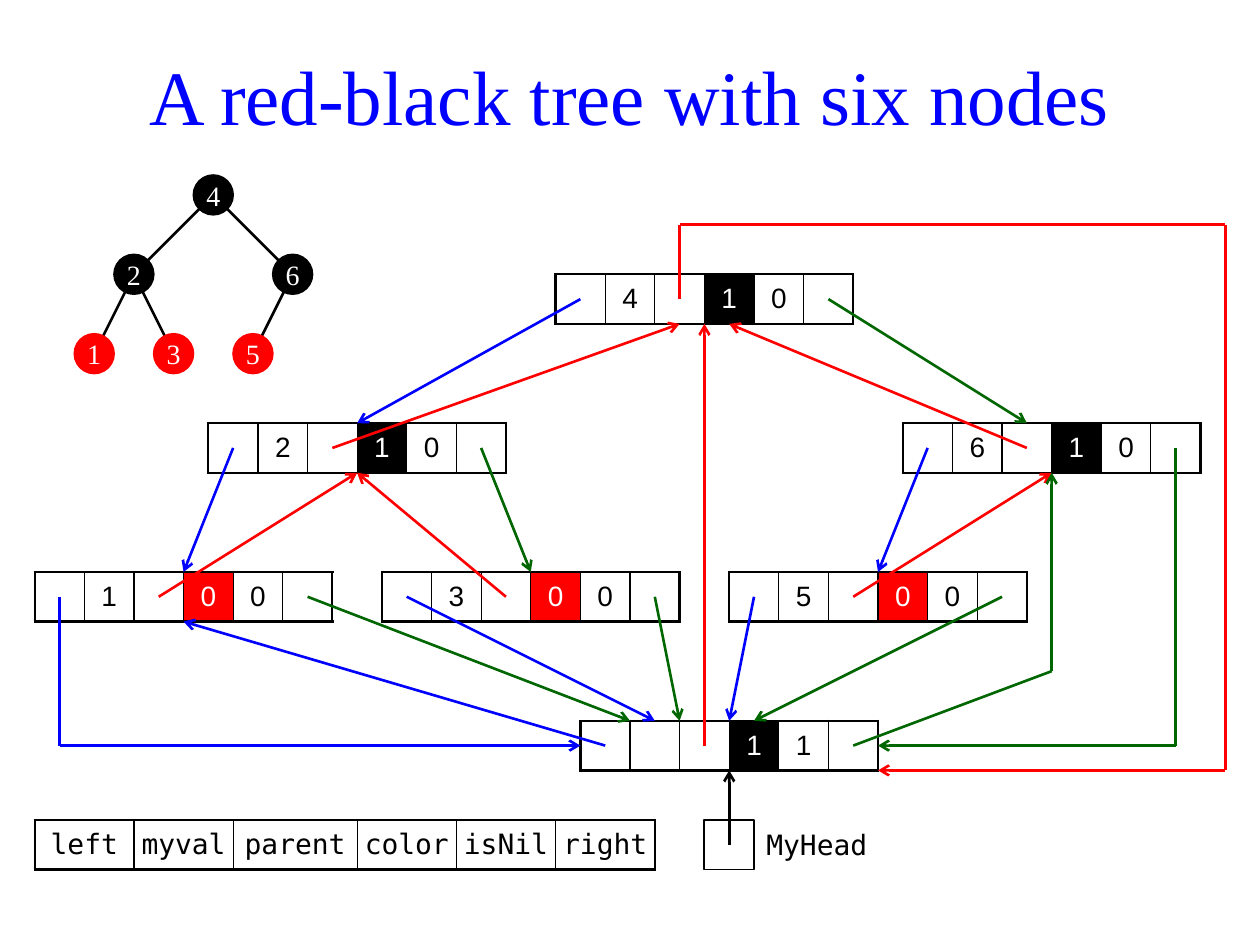
from itertools import pairwise

from lxml.etree import SubElement
from pptx import Presentation
from pptx.dml.color import RGBColor
from pptx.enum.shapes import MSO_CONNECTOR as Connector
from pptx.enum.shapes import MSO_SHAPE as Preset
from pptx.enum.text import MSO_ANCHOR as Anchor
from pptx.enum.text import PP_ALIGN as Align
from pptx.oxml.ns import qn
from pptx.util import Cm, Pt

BLACK = RGBColor(0x00, 0x00, 0x00)
WHITE = RGBColor(0xFF, 0xFF, 0xFF)
RED = RGBColor(0xFF, 0x00, 0x00)
BLUE = RGBColor(0x00, 0x00, 0xFF)
GREEN = RGBColor(0x00, 0x66, 0x00)

SERIF, SANS, MONO = "Times New Roman", "Arial", "DejaVu Sans Mono"

TOP, MIDDLE, BOTTOM = 0, 0.5, 1
LEFT, PARENT, RIGHT = 0.5, 2.5, 5.5

ROW_TOPS = [5.53 + 3 * level for level in range(4)]
LEGEND_TOP = 16.53
RECORDS = {
    "4": (11.2, ROW_TOPS[0], ["", "4", "", "1", "0", ""], BLACK),
    "2": (4.2, ROW_TOPS[1], ["", "2", "", "1", "0", ""], BLACK),
    "6": (18.2, ROW_TOPS[1], ["", "6", "", "1", "0", ""], BLACK),
    "1": (0.7, ROW_TOPS[2], ["", "1", "", "0", "0", ""], RED),
    "3": (7.7, ROW_TOPS[2], ["", "3", "", "0", "0", ""], RED),
    "5": (14.7, ROW_TOPS[2], ["", "5", "", "0", "0", ""], RED),
    "head": (11.7, ROW_TOPS[3], ["", "", "", "1", "1", ""], BLACK),
}
TREE_NODES = {
    "4": (4.3, 3.93, BLACK),
    "2": (2.7, 5.53, BLACK),
    "6": (5.9, 5.53, BLACK),
    "1": (1.9, 7.13, RED),
    "3": (3.5, 7.13, RED),
    "5": (5.1, 7.13, RED),
}
TREE_EDGES = ["42", "46", "21", "23", "65"]
FIELDS = ["left", "myval", "parent", "color", "isNil", "right"]
FIELD_WIDTHS = [2, 2, 2.5, 2, 2, 2]


def spot(record, offset, side=MIDDLE):
    left, top = RECORDS[record][:2]
    return left + offset, top + side


LINKS = [
    (BLUE, [spot("4", LEFT), spot("2", 3, TOP)]),
    (GREEN, [spot("4", RIGHT), spot("6", 2.5, TOP)]),
    (RED, [spot("4", PARENT), (13.7, 4.53), (24.7, 4.53), (24.7, 15.53), spot("head", 6, BOTTOM)]),
    (BLUE, [spot("2", LEFT), spot("1", 3, TOP)]),
    (RED, [spot("2", PARENT), spot("4", 2.5, BOTTOM)]),
    (GREEN, [spot("2", RIGHT), spot("3", 3, TOP)]),
    (BLUE, [spot("6", LEFT), spot("5", 3, TOP)]),
    (RED, [spot("6", PARENT), spot("4", 3.5, BOTTOM)]),
    (GREEN, [spot("6", RIGHT), (23.7, 15.03), spot("head", 6)]),
    (BLUE, [spot("1", LEFT), (1.2, 15.03), spot("head", 0)]),
    (RED, [spot("1", PARENT), spot("2", 3, BOTTOM)]),
    (GREEN, [spot("1", RIGHT), spot("head", 1, TOP)]),
    (BLUE, [spot("3", LEFT), spot("head", 1.5, TOP)]),
    (RED, [spot("3", PARENT), spot("2", 3, BOTTOM)]),
    (GREEN, [spot("3", RIGHT), spot("head", 2, TOP)]),
    (BLUE, [spot("5", LEFT), spot("head", 3, TOP)]),
    (RED, [spot("5", PARENT), spot("6", 3, BOTTOM)]),
    (GREEN, [spot("5", RIGHT), spot("head", 3.5, TOP)]),
    (BLUE, [spot("head", LEFT), spot("1", 3, BOTTOM)]),
    (RED, [spot("head", PARENT), spot("4", 3, BOTTOM)]),
    (GREEN, [spot("head", RIGHT), (21.2, 13.53), spot("6", 3, BOTTOM)]),
    (BLACK, [(14.7, LEGEND_TOP + 0.5), spot("head", 3, BOTTOM)]),
]


class Canvas:
    thin, thick, text_size = Pt(0.75), Pt(1.5), Pt(16)

    def __init__(self, slide):
        self.slide = slide

    def add_text(self, frame, text, font, color, size=None, align=Align.CENTER):
        paragraph = frame.paragraphs[0]
        paragraph.alignment = align
        run = paragraph.add_run()
        run.text = text
        run.font.name = font
        run.font.size = size or self.text_size
        run.font.color.rgb = color
        return paragraph

    def label(self, left, top, width, height, text, font, color, **style):
        box = self.slide.shapes.add_textbox(Cm(left), Cm(top), Cm(width), Cm(height))
        frame = box.text_frame
        frame.word_wrap = True
        frame.vertical_anchor = Anchor.MIDDLE
        return self.add_text(frame, text, font, color, **style)

    def shape(self, preset, left, top, size, fill, line):
        shape = self.slide.shapes.add_shape(preset, Cm(left), Cm(top), Cm(size), Cm(size))
        shape.shadow.inherit = False
        shape.fill.solid()
        shape.fill.fore_color.rgb = fill
        shape.line.color.rgb = line
        shape.line.width = Pt(1)
        return shape

    def tree_node(self, x, y, text, color):
        frame = self.shape(Preset.OVAL, x - 0.4, y - 0.4, 0.8, color, color).text_frame
        frame.margin_left = frame.margin_right = frame.margin_top = frame.margin_bottom = 0
        frame.vertical_anchor = Anchor.MIDDLE
        self.add_text(frame, text, SERIF, WHITE)

    def line(self, start, end, color, arrow=False):
        ends = [Cm(value) for value in (*start, *end)]
        connector = self.slide.shapes.add_connector(Connector.STRAIGHT, *ends)
        connector.line.color.rgb = color
        connector.line.width = self.thick
        properties = connector._element.spPr
        if arrow:
            SubElement(properties.find(qn("a:ln")), qn("a:tailEnd"), type="arrow")
        SubElement(properties, qn("a:effectLst"))

    def link(self, points, color):
        for start, end in pairwise(points):
            self.line(start, end, color, arrow=end == points[-1])

    def border(self, cell, side, width):
        properties = cell._tc.get_or_add_tcPr()
        line = SubElement(properties, qn(f"a:ln{side}"), w=str(width))
        fill = SubElement(line, qn("a:solidFill"))
        SubElement(fill, qn("a:srgbClr"), val=str(BLACK))

    def record(self, left, top, texts, widths, font, marker=None):
        frame = self.slide.shapes.add_table(
            1, len(texts), Cm(left), Cm(top), Cm(sum(widths)), Cm(1))
        table = frame.table
        table.first_row = table.horz_banding = False
        table.rows[0].height = Cm(1)
        last = len(texts) - 1
        for index, (text, width) in enumerate(zip(texts, widths)):
            table.columns[index].width = Cm(width)
            cell = table.cell(0, index)
            cell.margin_left = cell.margin_right = cell.margin_top = cell.margin_bottom = 0
            cell.vertical_anchor = Anchor.MIDDLE
            self.border(cell, "L", self.thick if index == 0 else self.thin)
            self.border(cell, "R", self.thick if index == last else self.thin)
            self.border(cell, "T", self.thick)
            self.border(cell, "B", self.thick)
            marked = marker is not None and index == 3
            if marked:
                cell.fill.solid()
                cell.fill.fore_color.rgb = marker
            else:
                cell.fill.background()
            if text:
                self.add_text(cell.text_frame, text, font, WHITE if marked else BLACK)


def main():
    presentation = Presentation()
    presentation.slide_width, presentation.slide_height = Cm(25.4), Cm(19.05)
    canvas = Canvas(presentation.slides.add_slide(presentation.slide_layouts[6]))

    title = canvas.label(1.2, 0.53, 23, 3, "A red-black tree with six nodes", SERIF, BLUE, size=Pt(44))
    title.line_spacing = 0.9

    for left, top, texts, marker in RECORDS.values():
        canvas.record(left, top, texts, [1] * 6, SANS, marker)
    canvas.record(0.7, LEGEND_TOP, FIELDS, FIELD_WIDTHS, MONO)
    canvas.shape(Preset.RECTANGLE, 14.2, LEGEND_TOP, 1, WHITE, BLACK)
    canvas.label(15.2, LEGEND_TOP, 3, 1, "MyHead", MONO, BLACK, align=Align.LEFT)

    for color, points in LINKS:
        canvas.link(points, color)

    for upper, lower in TREE_EDGES:
        canvas.line(TREE_NODES[upper][:2], TREE_NODES[lower][:2], BLACK)
    for text, (x, y, color) in TREE_NODES.items():
        canvas.tree_node(x, y, text, color)

    presentation.save("out.pptx")


if __name__ == "__main__":
    main()
